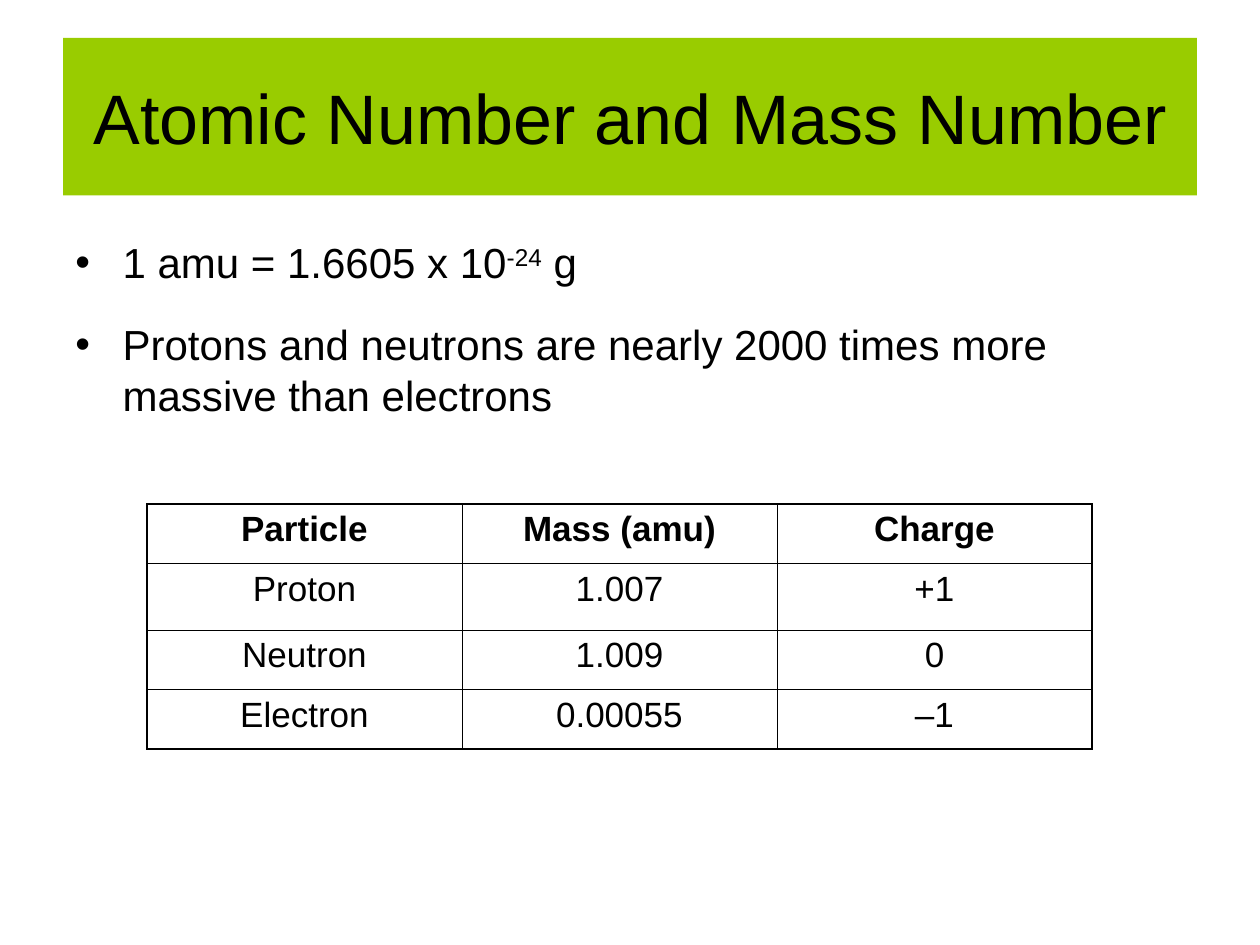
"""Build the slide on atomic number and mass number."""

from dataclasses import dataclass

from pptx import Presentation
from pptx.dml.color import RGBColor
from pptx.enum.text import MSO_ANCHOR as Anchor, MSO_AUTO_SIZE as AutoSize, PP_ALIGN as Align
from pptx.oxml.ns import qn
from pptx.util import Pt
from lxml.etree import SubElement

COLORS = {"banner": "99CC00", "text": "000000", "border": "000000"}
FONT_NAME = "Arial"
TITLE_ONLY = 5
INDENT = 27
OUTER_LINE, INNER_LINE = 1.08, 0.45
COLUMN_WIDTH = 180
ROW_HEIGHTS = (34, 38, 34, 34)


@dataclass(frozen=True)
class Run:
    text: str
    baseline: int = 0


@dataclass(frozen=True)
class Bullet:
    runs: tuple[Run, ...]
    space_before: float = 0


@dataclass(frozen=True)
class Particle:
    name: str
    mass: str
    charge: str


BULLETS = (
    Bullet((Run("1 amu = 1.6605 x 10"), Run("-24", 30000), Run(" g"))),
    Bullet((Run("Protons and neutrons are nearly 2000 times more massive than electrons"),), 18),
)
HEADER = Particle("Particle", "Mass (amu)", "Charge")
PARTICLES = (
    Particle("Proton", "1.007", "+1"),
    Particle("Neutron", "1.009", "0"),
    Particle("Electron", "0.00055", "–1"),
)


def set_format(target, values: dict) -> None:
    for name, value in values.items():
        setattr(target, name, value)


def format_font(font, size: float, bold: bool = False) -> None:
    set_format(font, {"name": FONT_NAME, "size": Pt(size), "bold": bold})
    font.color.rgb = RGBColor.from_string(COLORS["text"])


def draw_title(slide, text: str) -> None:
    title = slide.shapes.title
    set_format(title, {"left": Pt(36), "top": Pt(21.6), "width": Pt(648), "height": Pt(90)})
    title.fill.solid()
    title.fill.fore_color.rgb = RGBColor.from_string(COLORS["banner"])
    frame = title.text_frame
    set_format(frame, {"text": text, "word_wrap": True, "auto_size": AutoSize.NONE,
                       "vertical_anchor": Anchor.MIDDLE})
    paragraph = frame.paragraphs[0]
    paragraph.alignment = Align.CENTER
    format_font(paragraph.runs[0].font, 40)


def draw_bullets(slide, bullets: tuple[Bullet, ...]) -> None:
    frame = slide.shapes.add_textbox(Pt(36), Pt(131.76), Pt(648), Pt(356.4)).text_frame
    frame.word_wrap = True
    for index, bullet in enumerate(bullets):
        paragraph = frame.add_paragraph() if index else frame.paragraphs[0]
        properties = paragraph._p.get_or_add_pPr()
        properties.set("marL", str(Pt(INDENT)))
        properties.set("indent", str(-Pt(INDENT)))
        SubElement(properties, qn("a:buFont"), typeface=FONT_NAME)
        SubElement(properties, qn("a:buChar"), char="•")
        paragraph.space_before = Pt(bullet.space_before)
        for item in bullet.runs:
            run = paragraph.add_run()
            run.text = item.text
            format_font(run.font, 24)
            if item.baseline:
                run.font._element.set("baseline", str(item.baseline))


def set_borders(cell, widths: dict[str, float]) -> None:
    properties = cell._tc.get_or_add_tcPr()
    for side, width in widths.items():
        line = SubElement(properties, qn(f"a:ln{side}"), w=str(Pt(width)))
        fill = SubElement(line, qn("a:solidFill"))
        SubElement(fill, qn("a:srgbClr"), val=COLORS["border"])


def draw_table(slide, records: tuple[Particle, ...]) -> None:
    column_count, last_row = 3, len(records) - 1
    table = slide.shapes.add_table(
        len(records), column_count, Pt(84), Pt(288),
        Pt(COLUMN_WIDTH * column_count), Pt(sum(ROW_HEIGHTS))).table
    set_format(table, {"first_row": False, "horz_banding": False})
    for column in table.columns:
        column.width = Pt(COLUMN_WIDTH)
    for row_index, record in enumerate(records):
        table.rows[row_index].height = Pt(ROW_HEIGHTS[row_index])
        for column_index, text in enumerate((record.name, record.mass, record.charge)):
            cell = table.cell(row_index, column_index)
            cell.text = text
            paragraph = cell.text_frame.paragraphs[0]
            paragraph.alignment = Align.CENTER
            format_font(paragraph.runs[0].font, 20, bold=row_index == 0)
            on_edge = {"L": column_index == 0, "R": column_index == column_count - 1,
                       "T": row_index == 0, "B": row_index == last_row}
            set_borders(cell, {side: OUTER_LINE if edge else INNER_LINE
                               for side, edge in on_edge.items()})
            cell.fill.background()


def main() -> None:
    presentation = Presentation()
    set_format(presentation, {"slide_width": Pt(720), "slide_height": Pt(540)})
    slide = presentation.slides.add_slide(presentation.slide_layouts[TITLE_ONLY])
    draw_title(slide, "Atomic Number and Mass Number")
    draw_bullets(slide, BULLETS)
    draw_table(slide, (HEADER, *PARTICLES))
    presentation.save("out.pptx")


if __name__ == "__main__":
    main()
